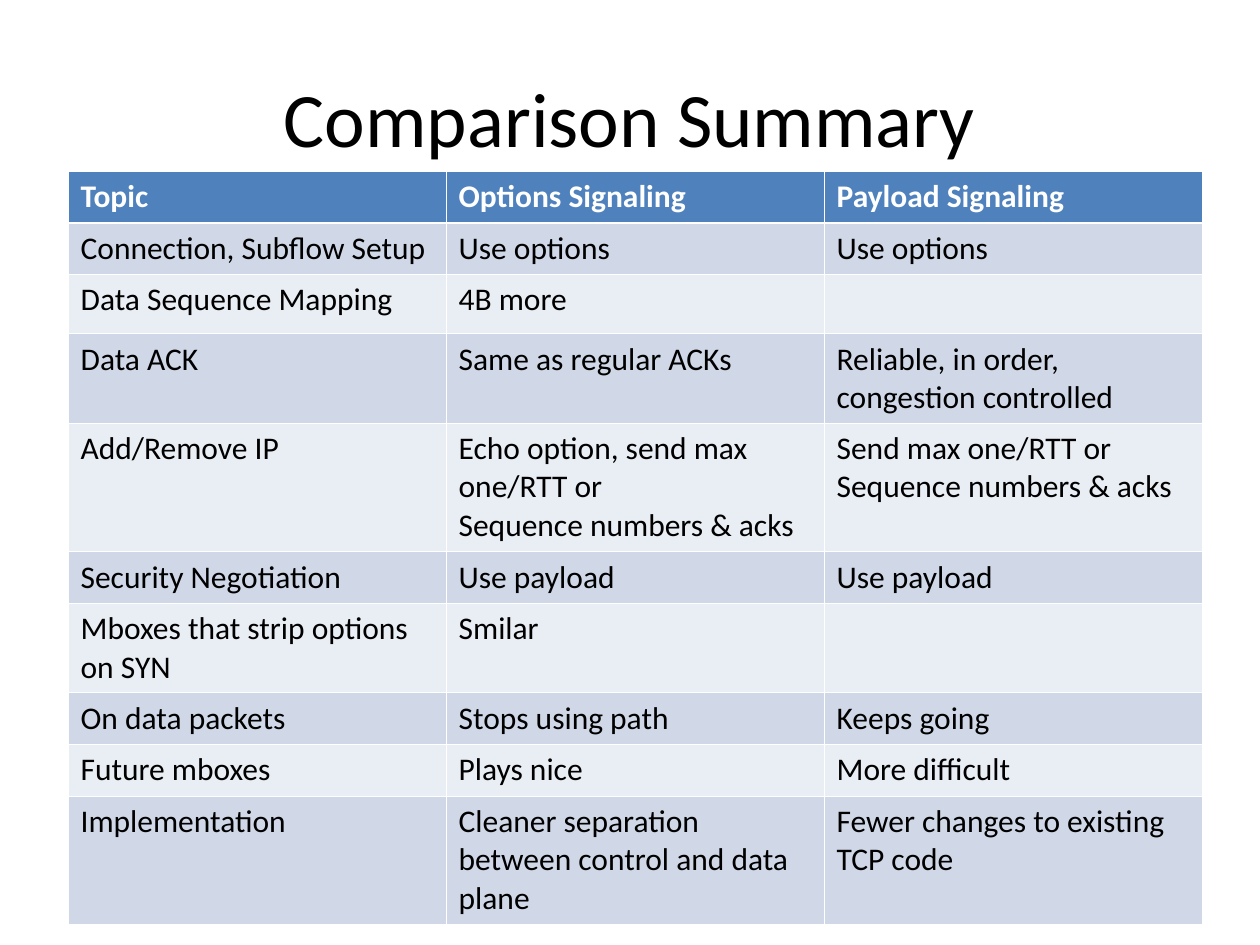
from typing import NamedTuple

from lxml import etree
from pptx import Presentation
from pptx.dml.color import RGBColor
from pptx.enum.text import MSO_ANCHOR, PP_ALIGN
from pptx.oxml.ns import qn
from pptx.util import Inches, Pt

MIDDLE = MSO_ANCHOR.MIDDLE
CENTER = PP_ALIGN.CENTER

BLACK = RGBColor(0x00, 0x00, 0x00)
WHITE = RGBColor(0xFF, 0xFF, 0xFF)
BLUE = RGBColor(0x4F, 0x81, 0xBD)
DARK = RGBColor(0xD0, 0xD8, 0xE8)
LIGHT = RGBColor(0xE9, 0xED, 0xF4)
FONT = "Calibri"
THIN, THICK = Pt(0.45), Pt(1.47)


class Row(NamedTuple):
    high: float
    topic: str
    option: str
    payload: str


ROWS = [
    Row(0.41, "Topic", "Options Signaling", "Payload Signaling"),
    Row(0.41, "Connection, Subflow Setup", "Use options", "Use options"),
    Row(0.47, "Data Sequence Mapping", "4B more", ""),
    Row(0.71, "Data ACK", "Same as regular ACKs",
        "Reliable, in order, congestion controlled"),
    Row(1.02, "Add/Remove IP",
        "Echo option, send max one/RTT or\nSequence numbers & acks",
        "Send max one/RTT or\nSequence numbers & acks"),
    Row(0.41, "Security Negotiation", "Use payload", "Use payload"),
    Row(0.71, "Mboxes that strip options on SYN", "Smilar", ""),
    Row(0.41, "On data packets", "Stops using path", "Keeps going"),
    Row(0.41, "Future mboxes", "Plays nice", "More difficult"),
    Row(1.02, "Implementation",
        "Cleaner separation between control and data plane",
        "Fewer changes to existing TCP code"),
]


def style(frame, size: float, color: RGBColor, bold: bool = False) -> None:
    for para in frame.paragraphs:
        font = para.font
        font.name, font.size, font.bold = FONT, Pt(size), bold
        font.color.rgb = color


def edge(cell, widths: dict[str, int]) -> None:
    """Draw white cell borders; they must come before the fill."""
    props = cell._tc.get_or_add_tcPr()
    for spot, (side, width) in enumerate(widths.items()):
        line = etree.Element(qn(f"a:{side}"), w=str(int(width)))
        fill = etree.SubElement(line, qn("a:solidFill"))
        etree.SubElement(fill, qn("a:srgbClr"), val=str(WHITE))
        props.insert(spot, line)


def add_title(slide, text: str) -> None:
    box = slide.shapes.add_textbox(Inches(0.5), Inches(0.3), Inches(9), Inches(1.25))
    frame = box.text_frame
    frame.word_wrap = True
    frame.vertical_anchor = MIDDLE
    frame.text = text
    frame.paragraphs[0].alignment = CENTER
    style(frame, 44, BLACK)


def add_grid(slide, rows: list[Row]) -> None:
    high = sum(row.high for row in rows)
    table = slide.shapes.add_table(
        len(rows), 3, Inches(0.54), Inches(1.36), Inches(9), Inches(high)).table
    table.horz_banding = False
    for r, row in enumerate(rows):
        table.rows[r].height = Inches(row.high)
        head = r == 0
        shade = BLUE if head else DARK if r % 2 else LIGHT
        widths = {"lnL": THIN, "lnR": THIN,
                  "lnT": THICK if r == 1 else THIN,
                  "lnB": THICK if head else THIN}
        for c, text in enumerate(row[1:]):
            cell = table.cell(r, c)
            cell.text = text
            style(cell.text_frame, 18, WHITE if head else BLACK, head)
            cell.fill.solid()
            cell.fill.fore_color.rgb = shade
            edge(cell, widths)


def main() -> None:
    deck = Presentation()
    deck.slide_width, deck.slide_height = Inches(10), Inches(7.5)
    slide = deck.slides.add_slide(deck.slide_layouts[6])
    add_title(slide, "Comparison Summary")
    add_grid(slide, ROWS)
    deck.save("out.pptx")


if __name__ == "__main__":
    main()
